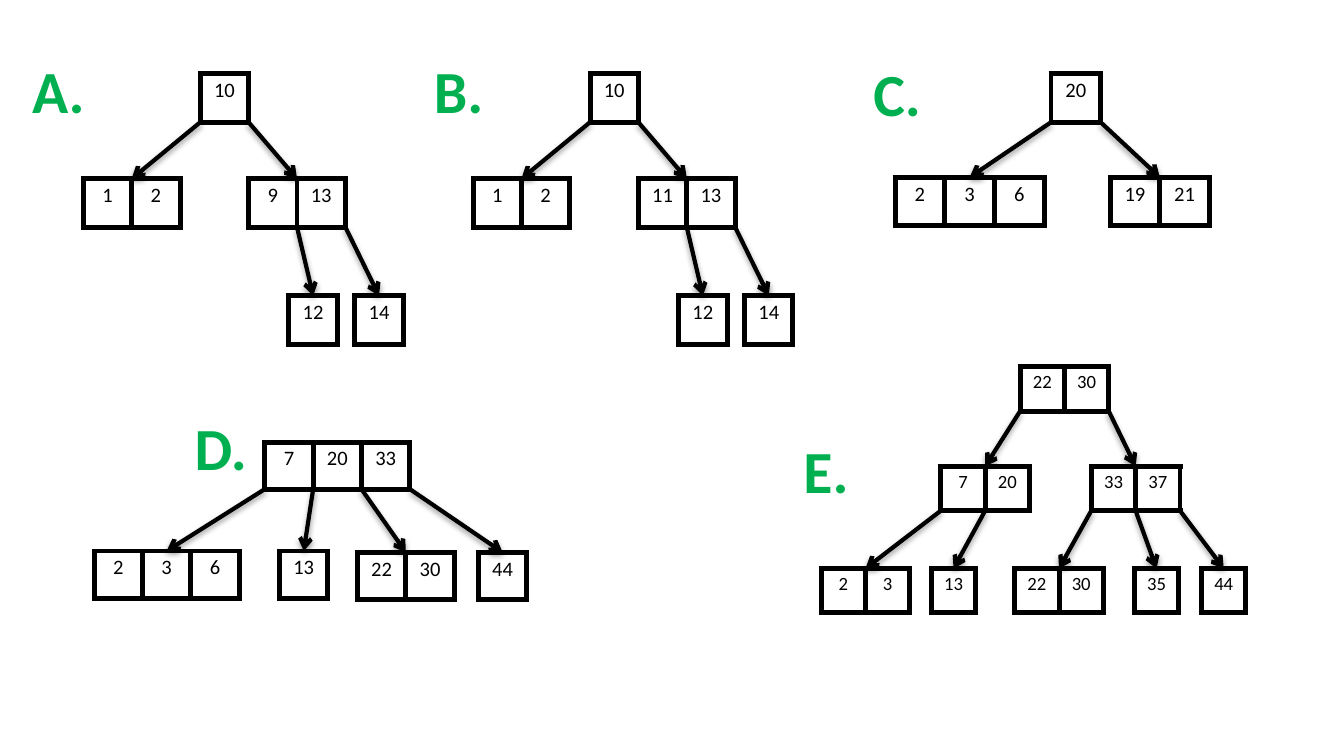
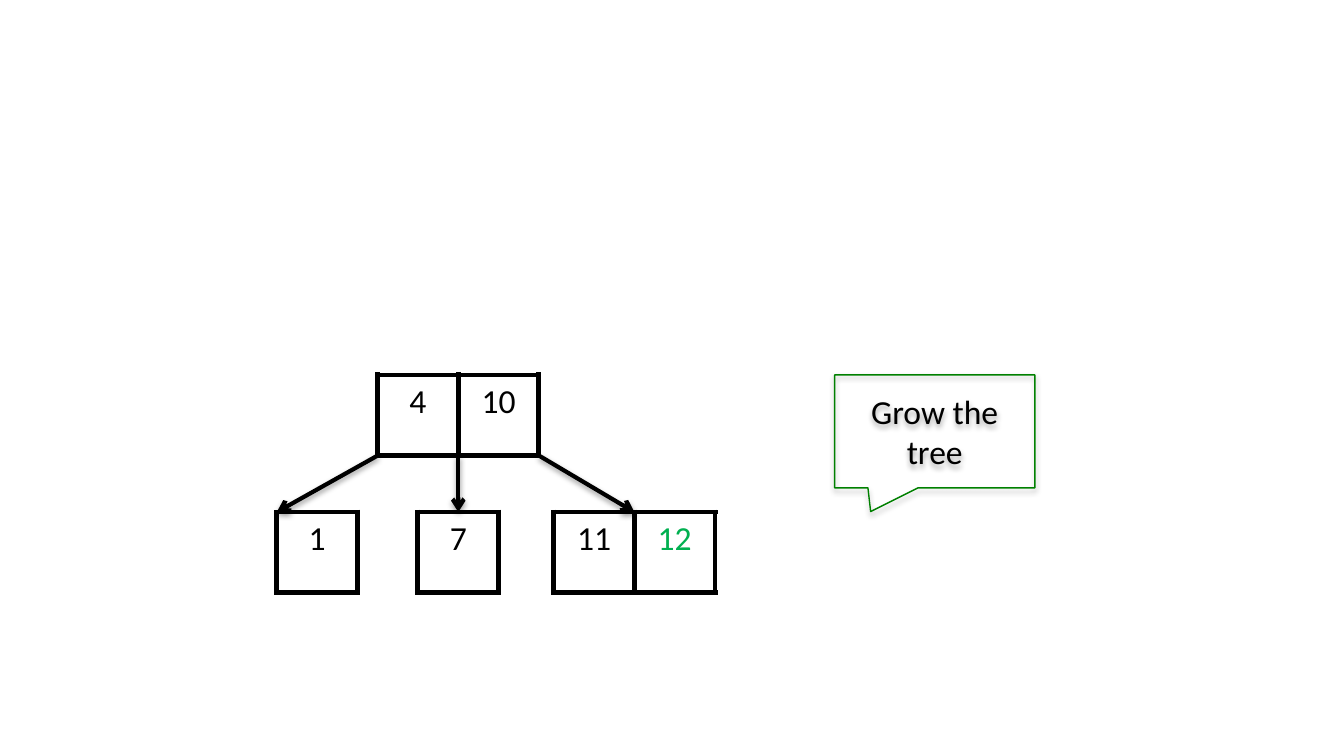
from dataclasses import dataclass

from lxml import etree
from pptx import Presentation
from pptx.dml.color import RGBColor
from pptx.enum.shapes import MSO_CONNECTOR, MSO_SHAPE
from pptx.enum.text import MSO_ANCHOR, PP_ALIGN
from pptx.oxml.ns import qn
from pptx.util import Inches, Pt

STRAIGHT = MSO_CONNECTOR.STRAIGHT
CALLOUT = MSO_SHAPE.RECTANGULAR_CALLOUT
CENTER = PP_ALIGN.CENTER
MIDDLE = MSO_ANCHOR.MIDDLE

FONT = "Calibri"
BLACK = "000000"
GREEN = "00B050"
CALLOUT_GREEN = "008000"
BLANK_LAYOUT = 6


@dataclass
class CellStyle:
    width: float
    height: float
    size: int
    margin_x: float = 0.06
    margin_y: float = 0.03


@dataclass
class Node:
    """A row of keys; children are (gap between parent keys, node) pairs."""
    keys: str
    left: float
    top: float
    children: tuple = ()
    new_keys: tuple = ()
    arrow_x: float | None = None


def rgb(color):
    return RGBColor.from_string(color)


def add_run(paragraph, text, size, color, bold=False):
    run = paragraph.add_run()
    run.text = text
    run.font.name = FONT
    run.font.size = Pt(size)
    run.font.bold = bold
    run.font.color.rgb = rgb(color)


def add_shadow(shape_properties, opacity, distance):
    effects = shape_properties.find(qn("a:effectLst"))
    if effects is None:
        effects = etree.SubElement(shape_properties, qn("a:effectLst"))
    shadow = etree.SubElement(effects, qn("a:outerShdw"), blurRad=str(Pt(3.1)),
                              dist=str(Pt(distance)), dir="5400000", rotWithShape="0")
    shade = etree.SubElement(shadow, qn("a:srgbClr"), val=BLACK)
    etree.SubElement(shade, qn("a:alpha"), val=str(opacity * 1000))


def set_borders(cell):
    properties = cell._tc.get_or_add_tcPr()
    for side in ("lnL", "lnR", "lnT", "lnB"):
        border = etree.SubElement(properties, qn(f"a:{side}"), w=str(Pt(3)))
        fill = etree.SubElement(border, qn("a:solidFill"))
        etree.SubElement(fill, qn("a:srgbClr"), val=BLACK)


def add_keys(slide, node, style):
    keys = node.keys.split()
    table = slide.shapes.add_table(
        1, len(keys), Inches(node.left), Inches(node.top),
        Inches(style.width * len(keys)), Inches(style.height)).table
    table.first_row = table.horz_banding = False
    for column, key in enumerate(keys):
        table.columns[column].width = Inches(style.width)
        cell = table.cell(0, column)
        cell.margin_left = cell.margin_right = Inches(style.margin_x)
        cell.margin_top = cell.margin_bottom = Inches(style.margin_y)
        set_borders(cell)
        cell.fill.background()
        paragraph = cell.text_frame.paragraphs[0]
        paragraph.alignment = CENTER
        add_run(paragraph, key, style.size, GREEN if key in node.new_keys else BLACK)


def add_arrow(slide, start, end):
    arrow = slide.shapes.add_connector(STRAIGHT, *map(Inches, start + end))
    arrow.line.color.rgb = rgb(BLACK)
    arrow.line.width = Pt(2.25)
    properties = arrow._element.spPr
    etree.SubElement(properties.find(qn("a:ln")), qn("a:tailEnd"), type="arrow")
    add_shadow(properties, 38, 1.6)


def add_tree(slide, node, style):
    """Draw a node, its subtrees, and an arrow to the top of each child."""
    add_keys(slide, node, style)
    for gap, child in node.children:
        add_tree(slide, child, style)
        end_x = child.arrow_x
        if end_x is None:
            end_x = child.left + len(child.keys.split()) * style.width / 2
        add_arrow(slide, (node.left + gap * style.width, node.top + style.height),
                  (end_x, child.top))


def add_label(slide, text, left, top, width):
    box = slide.shapes.add_textbox(Inches(left), Inches(top), Inches(width), Inches(0.64))
    box.text_frame.word_wrap = True
    add_run(box.text_frame.paragraphs[0], text, 32, GREEN, bold=True)


def add_callout(slide, text, left, top, width, height):
    callout = slide.shapes.add_shape(
        CALLOUT, Inches(left), Inches(top), Inches(width), Inches(height))
    callout.adjustments[0] = -0.32
    callout.adjustments[1] = 0.71
    callout.fill.background()
    callout.line.color.rgb = rgb(CALLOUT_GREEN)
    callout.line.width = Pt(0.75)
    callout.shadow.inherit = False
    add_shadow(callout._element.spPr, 35, 1.8)
    frame = callout.text_frame
    frame.word_wrap = True
    frame.vertical_anchor = MIDDLE
    frame.paragraphs[0].alignment = CENTER
    add_run(frame.paragraphs[0], text, 18, BLACK)


def three_level_tree(left, inner_keys):
    """Trees A and B, which differ only in one inner key."""
    inner = Node(inner_keys, left + 1.23, 1.33, (
        (1, Node("12", left + 1.53, 2.2)),
        (2, Node("14", left + 2.02, 2.2))))
    return Node("10", left + 0.87, 0.55, ((0, Node("1 2", left, 1.33)), (1, inner)))


def build_choices(slide):
    for label in (("A.", 0.14, 0.35, 0.8), ("B.", 3.13, 0.35, 1.01),
                  ("C.", 6.4, 0.37, 0.99), ("D.", 1.35, 3.01, 1.07),
                  ("E.", 5.88, 3.18, 1.11)):
        add_label(slide, *label)

    style_ab = CellStyle(0.36, 0.36, 11)
    add_tree(slide, three_level_tree(0.62, "9 13"), style_ab)
    add_tree(slide, three_level_tree(3.52, "11 13"), style_ab)

    tree_c = Node("20", 7.82, 0.55, (
        (0, Node("2 3 6", 6.66, 1.32)),
        (1, Node("19 21", 8.26, 1.32))))
    add_tree(slide, tree_c, CellStyle(0.37, 0.36, 11))

    tree_d = Node("7 20 33", 1.97, 3.29, (
        (0, Node("2 3 6", 0.7, 4.1)),
        (1, Node("13", 2.08, 4.1)),
        (2, Node("22 30", 2.66, 4.11)),
        (3, Node("44", 3.56, 4.11))))
    add_tree(slide, tree_d, CellStyle(0.36, 0.35, 11))

    low_keys = Node("7 20", 7, 3.47, (
        (0, Node("2 3", 6.11, 4.23)),
        (1, Node("13", 6.93, 4.23))))
    high_keys = Node("33 37", 8.12, 3.47, (
        (0, Node("22 30", 7.55, 4.23)),
        (1, Node("35", 8.44, 4.23)),
        (2, Node("44", 8.94, 4.23))))
    tree_e = Node("22 30", 7.59, 2.73, ((0, low_keys), (2, high_keys)))
    add_tree(slide, tree_e, CellStyle(0.33, 0.33, 10))


def build_growth(slide):
    add_callout(slide, "Grow the tree", 6.21, 2.79, 1.49, 0.84)
    tree = Node("4 10", 2.81, 2.79, (
        (0, Node("1", 2.06, 3.81, arrow_x=2.06)),
        (1, Node("7", 3.11, 3.81)),
        (2, Node("11 12", 4.12, 3.81, new_keys=("12",)))))
    add_tree(slide, tree, CellStyle(0.6, 0.6, 18, 0.1, 0.05))


def main():
    deck = Presentation()
    deck.slide_width = Inches(10)
    deck.slide_height = deck.slide_width * 9 // 16
    for build in (build_choices, build_growth):
        build(deck.slides.add_slide(deck.slide_layouts[BLANK_LAYOUT]))
    deck.save("out.pptx")


if __name__ == "__main__":
    main()
